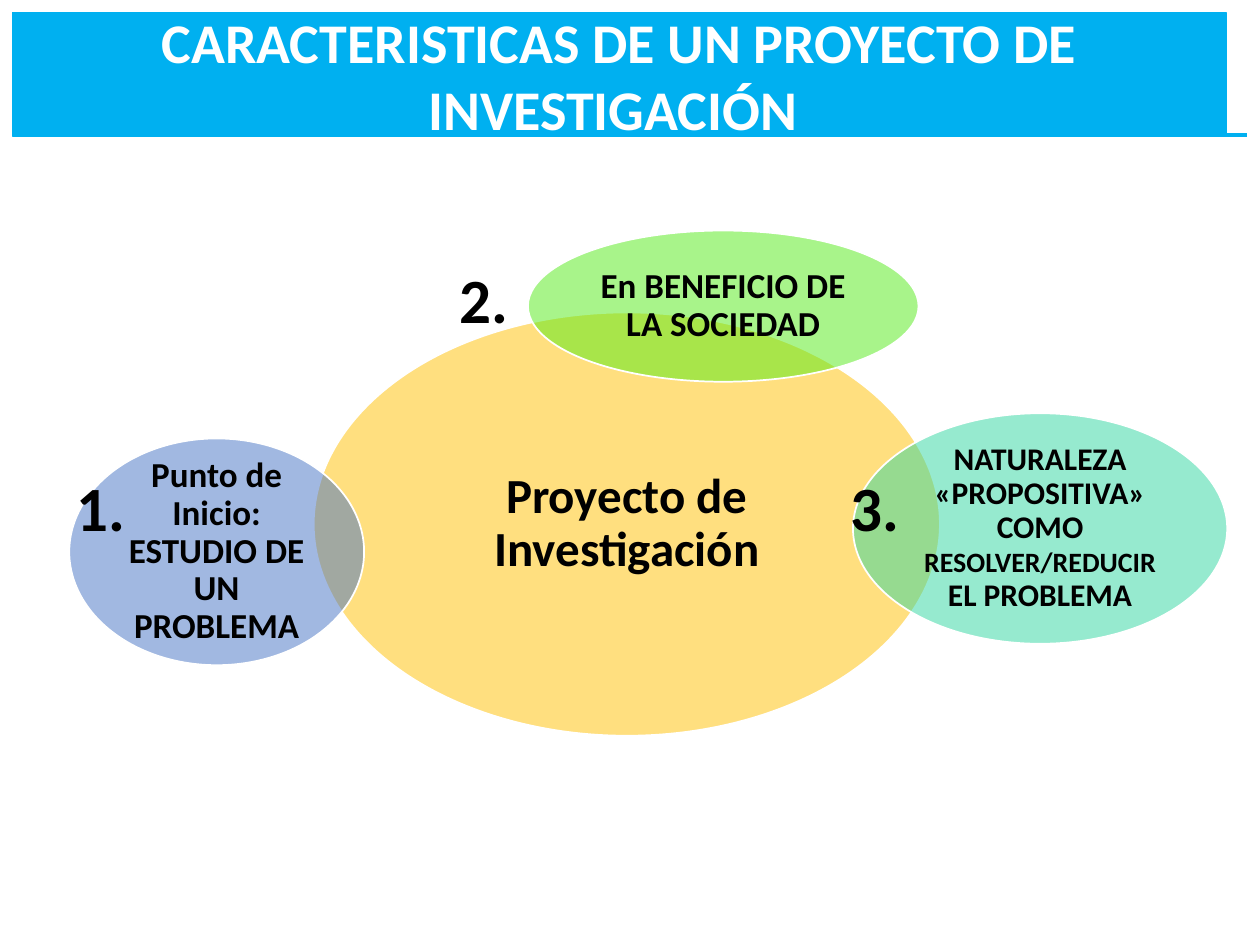
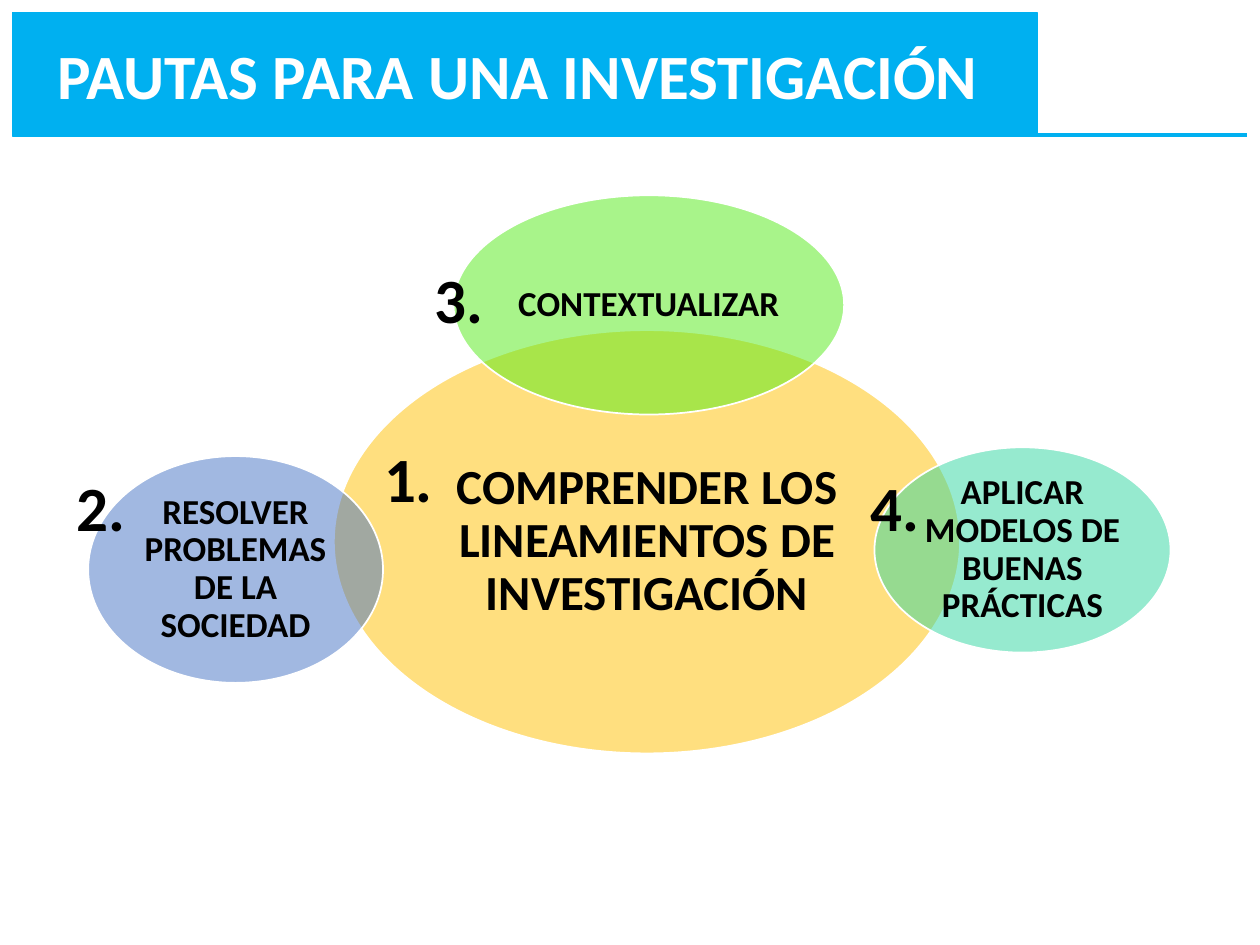
import pptx
import pptx.util
import pptx.dml.color
import pptx.enum.shapes
import pptx.enum.text
import pptx.oxml.ns
import lxml.etree

Inches, Pt = pptx.util.Inches, pptx.util.Pt
SHAPE = pptx.enum.shapes.MSO_SHAPE
ALIGN = pptx.enum.text.PP_ALIGN
ANCHOR = pptx.enum.text.MSO_ANCHOR

SKY, WHITE, BLACK = "00B0F0", "FFFFFF", "000000"
GOLD, GREEN, TEAL, BLUE = "FFC000", "53EB17", "2ED7A1", "4472C4"


def rgb(value):
    return pptx.dml.color.RGBColor.from_string(value)


def add_child(parent, tag, **attrs):
    return lxml.etree.SubElement(parent, pptx.oxml.ns.qn(tag), **attrs)


class Deck:
    font = "Calibri"

    def __init__(self):
        self.prs = pptx.Presentation()
        self.prs.slide_width, self.prs.slide_height = Inches(10), Inches(7.5)
        self.s = None

    def add_text(self, sp, runs, color=BLACK, align=ALIGN.CENTER, spacing=None):
        """Put bold runs of (text, size) into one paragraph."""
        tf = sp.text_frame
        tf.word_wrap = True
        p = tf.paragraphs[0]
        p.alignment = align
        if spacing:
            p.line_spacing = spacing
        for text, size in runs:
            r = p.add_run()
            r.text = text
            r.font.name, r.font.size, r.font.bold = self.font, Pt(size), True
            r.font.color.rgb = rgb(color)
        return tf

    def shape(self, kind, box, fill, line):
        sp = self.s.shapes.add_shape(kind, *map(Inches, box))
        sp.shadow.inherit = False
        sp.fill.solid()
        sp.fill.fore_color.rgb = rgb(fill)
        sp.line.color.rgb = rgb(line)
        sp.line.width = Pt(1)
        return sp

    def rule(self, x1, x2, y):
        cn = self.s.shapes.add_connector(
            pptx.enum.shapes.MSO_CONNECTOR.STRAIGHT,
            Inches(x1), Inches(y), Inches(x2), Inches(y))
        cn.line.color.rgb = rgb(SKY)
        cn.line.width = Pt(2.25)
        add_child(cn._element.spPr, "a:effectLst")

    def titled_slide(self, title, size, width):
        """Start a slide with its rule and title band."""
        self.s = self.prs.slides.add_slide(self.prs.slide_layouts[6])
        self.rule(0.1, 9.9, 1.07)
        band = self.shape(SHAPE.RECTANGLE, (0.1, 0.1, width, 0.98), SKY, SKY)
        tf = self.add_text(band, [(title, size)], WHITE)
        tf.vertical_anchor = ANCHOR.MIDDLE

    def bubble(self, box, fill, runs, inset=0.03):
        """Half-transparent ellipse with centred text."""
        sp = self.shape(SHAPE.OVAL, box, fill, WHITE)
        color = sp._element.spPr.find(".//" + pptx.oxml.ns.qn("a:srgbClr"))
        add_child(color, "a:alpha", val="50000")
        tf = self.add_text(sp, runs, spacing=0.9)
        tf.vertical_anchor = ANCHOR.MIDDLE
        tf.margin_left = tf.margin_right = Inches(inset)
        tf.margin_top = tf.margin_bottom = Inches(inset)

    def core(self, x, y, text):
        self.bubble((x, y, 4.97, 3.36), GOLD, [(text, 28)], 0.04)

    def number(self, n, x, y, width):
        sp = self.s.shapes.add_textbox(*map(Inches, (x, y, width, 0.71)))
        self.add_text(sp, [(f"{n}.", 36)], align=ALIGN.LEFT)


def build_features(deck):
    deck.titled_slide("CARACTERISTICAS DE UN PROYECTO DE INVESTIGACIÓN ", 32, 9.63)
    # Central idea and its three features
    deck.core(2.49, 2.48, "Proyecto de Investigación")
    deck.bubble((4.19, 1.83, 3.1, 1.2), GREEN,
                [("En BENEFICIO DE LA SOCIEDAD", 20)])
    deck.bubble((6.77, 3.28, 2.97, 1.83), TEAL,
                [("NATURALEZA «PROPOSITIVA» COMO ", 18),
                 ("RESOLVER/REDUCIR", 16), (" EL PROBLEMA", 18)])
    deck.bubble((0.55, 3.48, 2.34, 1.8), BLUE,
                [("Punto de Inicio: ESTUDIO DE UN PROBLEMA", 20)])
    # Order numbers
    places = [(0.51, 3.67, 0.64), (3.55, 2.02, 0.67), (6.65, 3.67, 0.63)]
    for n, place in enumerate(places, 1):
        deck.number(n, *place)


def build_guidelines(deck):
    deck.titled_slide("PAUTAS PARA UNA INVESTIGACIÓN ", 36, 8.13)
    # Central guideline and the three around it
    deck.core(2.65, 2.62, "COMPRENDER LOS LINEAMIENTOS DE INVESTIGACIÓN")
    for box, fill, text in [
            ((3.6, 1.55, 3.1, 1.74), GREEN, "CONTEXTUALIZAR"),
            ((6.94, 3.55, 2.35, 1.63), TEAL, "APLICAR MODELOS DE BUENAS PRÁCTICAS"),
            ((0.7, 3.62, 2.34, 1.8), BLUE, "RESOLVER PROBLEMAS DE LA SOCIEDAD")]:
        deck.bubble(box, fill, [(text, 20)])
    # Order numbers
    places = [(2.95, 3.44, 0.59), (0.51, 3.67, 0.64),
              (3.35, 2.02, 0.7), (6.81, 3.67, 0.63)]
    for n, place in enumerate(places, 1):
        deck.number(n, *place)


def main():
    deck = Deck()
    build_features(deck)
    build_guidelines(deck)
    deck.prs.save("out.pptx")


if __name__ == "__main__":
    main()
